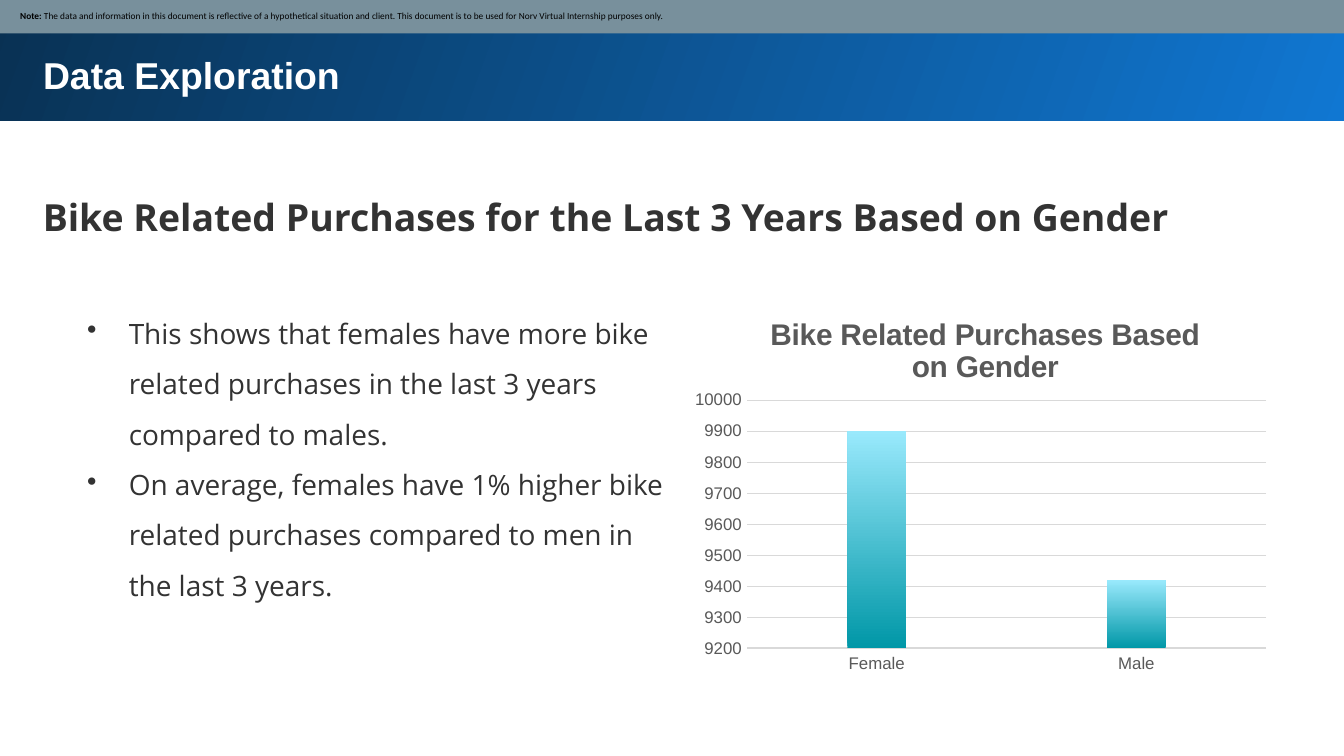
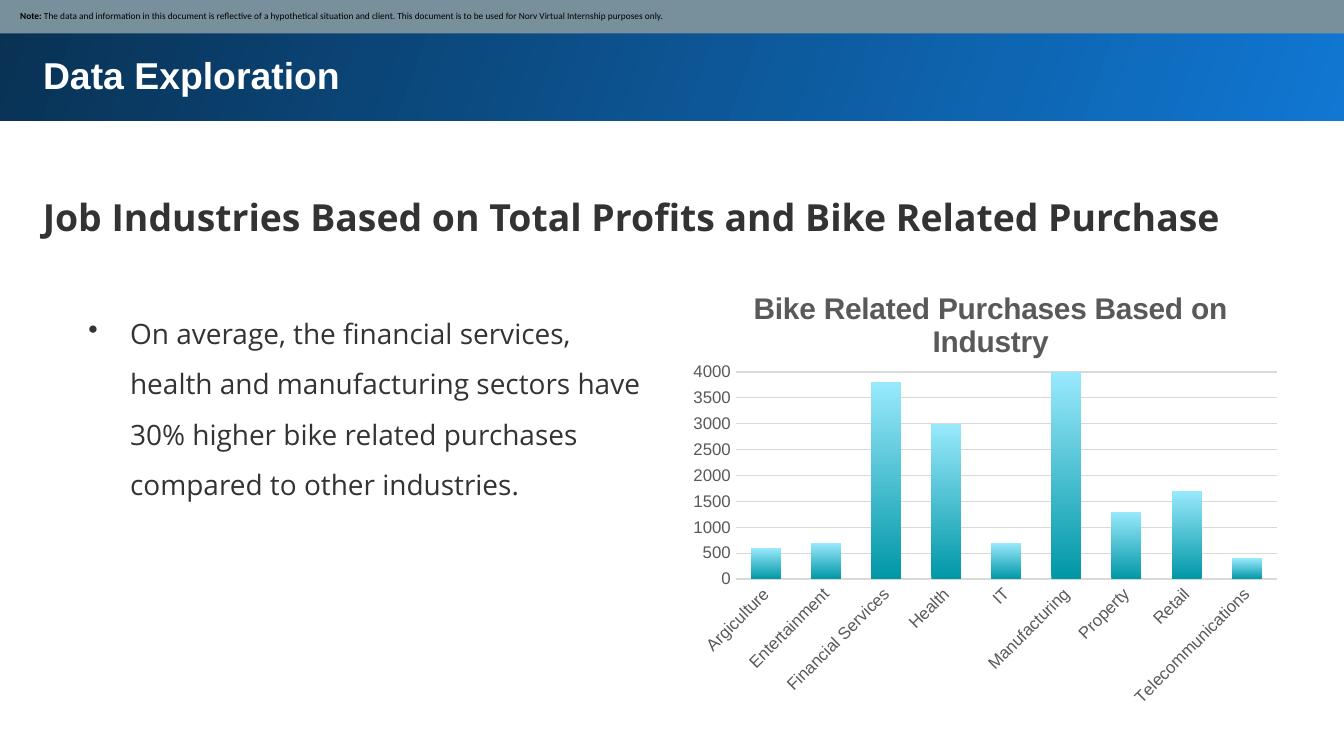
import pptx
import pptx.chart.data
import pptx.dml.color
import pptx.enum.chart
import pptx.enum.shapes
import pptx.enum.text
import pptx.oxml
import pptx.oxml.ns
import pptx.util

COLORS = {
    "sky": "1077D2",
    "navy": "093153",
    "slate": "78909C",
    "white": "FFFFFF",
    "black": "000000",
    "ink": "333333",
    "label": "595959",
    "grid": "D9D9D9",
    "teal": "0097A7",
    "aqua": "99E9FC",
}
HEADING_FONT, BODY_FONT, NOTE_FONT = "Arial", "Open Sans", "Calibri"
COLUMNS = 100  # square grid cells across the slide
TITLE_ONLY = 5
SECTION = "Data Exploration"
NOTE = (
    "The data and information in this document is reflective of a hypothetical "
    "situation and client. This document is to be used for Norv Virtual "
    "Internship purposes only."
)


def rgb(name):
    return pptx.dml.color.RGBColor.from_string(COLORS[name])


def set_font(font, name, size, color, bold=False):
    font.name = name
    font.size = pptx.util.Pt(size)
    font.color.rgb = rgb(color)
    font.bold = bold


def set_gradient(fill, start, end, angle):
    """Fill from start to end; angle is counter-clockwise in degrees."""
    fill.gradient()
    fill.gradient_angle = angle
    for stop, color in zip(fill.gradient_stops, (start, end)):
        stop.color.rgb = rgb(color)


def set_layout(element, index, inner=False, **shares):
    """Place a chart part manually, with x, y, w, h as shares of the chart."""
    for automatic in element.xpath("c:layout"):
        element.remove(automatic)
    target = '<c:layoutTarget val="inner"/>' if inner else ""
    modes = "".join(f'<c:{key}Mode val="edge"/>' for key in shares if key in "xy")
    values = "".join(f'<c:{key} val="{share}"/>' for key, share in shares.items())
    element.insert(index, pptx.oxml.parse_xml(
        f'<c:layout {pptx.oxml.ns.nsdecls("c")}><c:manualLayout>'
        f"{target}{modes}{values}</c:manualLayout></c:layout>"
    ))


class Deck:
    def __init__(self):
        self.presentation = pptx.Presentation()
        self.presentation.slide_width = pptx.util.Inches(10)
        self.presentation.slide_height = self.presentation.slide_width * 9 // 16
        self.cell = self.presentation.slide_width / COLUMNS
        self.slide = None

    def box(self, *cells):
        return [round(count * self.cell) for count in cells]

    def add_slide(self, heading):
        layout = self.presentation.slide_layouts[TITLE_ONLY]
        self.slide = self.presentation.slides.add_slide(layout)
        self.slide.background.fill.solid()
        self.slide.background.fill.fore_color.rgb = rgb("white")
        band = self.rectangle(-0.2, -0.2, 100.5, 9.2)
        set_gradient(band.fill, "sky", "navy", 160)
        self.title(SECTION)
        self.slide.shapes.title.element.addprevious(band.element)
        self.heading(heading)
        self.note()

    def rectangle(self, *cells):
        shape = self.slide.shapes.add_shape(
            pptx.enum.shapes.MSO_SHAPE.RECTANGLE, *self.box(*cells)
        )
        shape.shadow.inherit = False
        shape.line.fill.background()
        return shape

    def frame(self, shape, inset=1):
        """Set the shared wrapping, insets and anchor of a text frame."""
        frame = shape.text_frame
        frame.word_wrap = True
        frame.vertical_anchor = pptx.enum.text.MSO_ANCHOR.TOP
        frame.margin_left = frame.margin_right = round(inset * self.cell)
        frame.margin_top = frame.margin_bottom = round(inset * self.cell)
        return frame

    def text_box(self, *cells):
        frame = self.frame(self.slide.shapes.add_textbox(*self.box(*cells)))
        frame.auto_size = pptx.enum.text.MSO_AUTO_SIZE.SHAPE_TO_FIT_TEXT
        return frame

    def title(self, text):
        title = self.slide.shapes.title
        title.left, title.top, title.width, title.height = self.box(2.2, 2.9, 93.7, 5.4)
        frame = self.frame(title)
        frame.auto_size = pptx.enum.text.MSO_AUTO_SIZE.SHAPE_TO_FIT_TEXT
        frame.text = text
        paragraph = frame.paragraphs[0]
        paragraph.alignment = pptx.enum.text.PP_ALIGN.LEFT
        set_font(paragraph.font, HEADING_FONT, 20, "white", bold=True)

    def heading(self, text):
        paragraph = self.text_box(2.2, 11.8, 93.7, 6.5).paragraphs[0]
        paragraph.text = text
        paragraph.line_spacing = 1.5
        set_font(paragraph.font, BODY_FONT, 20, "ink", bold=True)

    def note(self):
        strip = self.rectangle(-0.1, -0.1, 100.3, 2.6)
        strip.fill.solid()
        strip.fill.fore_color.rgb = rgb("slate")
        frame = self.frame(strip, inset=0.5)
        frame.margin_left = round(1.6 * self.cell)
        frame.vertical_anchor = pptx.enum.text.MSO_ANCHOR.MIDDLE
        paragraph = frame.paragraphs[0]
        paragraph.alignment = pptx.enum.text.PP_ALIGN.LEFT
        set_font(paragraph.font, NOTE_FONT, 5, "black")
        label = paragraph.add_run()
        label.text = "Note: "
        label.font.bold = True
        paragraph.add_run().text = NOTE

    def bullets(self, cells, texts):
        frame = self.text_box(*cells)
        indent = round(3.1 * self.cell)
        for number, text in enumerate(texts):
            paragraph = frame.add_paragraph() if number else frame.paragraphs[0]
            paragraph.text = text
            properties = paragraph._p.get_or_add_pPr()
            properties.set("marL", str(indent))
            properties.set("indent", str(-indent))
            properties.append(pptx.oxml.parse_xml(
                f'<a:buChar {pptx.oxml.ns.nsdecls("a")} char="•"/>'
            ))
            paragraph.line_spacing = 1.5
            set_font(paragraph.font, BODY_FONT, 15, "ink")

    def column_chart(self, cells, title, values, scale, gap, overlap,
                     title_at, plot_at, slanted=False):
        """Add columns; scale is minimum, maximum and step of the value axis."""
        data = pptx.chart.data.CategoryChartData()
        data.categories = list(values)
        data.add_series("Series 1", list(values.values()))
        chart = self.slide.shapes.add_chart(
            pptx.enum.chart.XL_CHART_TYPE.COLUMN_CLUSTERED, *self.box(*cells), data
        ).chart
        set_font(chart.font, HEADING_FONT, 10, "black")
        chart.has_legend = False

        chart.has_title = True
        paragraph = chart.chart_title.text_frame.paragraphs[0]
        paragraph.text = title
        set_font(paragraph.font, HEADING_FONT, 16, "label", bold=True)

        for axis in (chart.category_axis, chart.value_axis):
            axis.major_tick_mark = pptx.enum.chart.XL_TICK_MARK.NONE
            axis.minor_tick_mark = pptx.enum.chart.XL_TICK_MARK.NONE
            set_font(axis.tick_labels.font, HEADING_FONT, 9, "label")
        chart.category_axis.format.line.color.rgb = rgb("grid")
        chart.category_axis.format.line.width = pptx.util.Pt(1)
        axis = chart.value_axis
        axis.minimum_scale, axis.maximum_scale, axis.major_unit = scale
        axis.format.line.fill.background()
        axis.major_gridlines.format.line.color.rgb = rgb("grid")
        axis.major_gridlines.format.line.width = pptx.util.Pt(0.75)

        plot = chart.plots[0]
        plot.vary_by_categories = False
        plot.gap_width, plot.overlap = gap, overlap
        series = plot.series[0]
        series.invert_if_negative = False
        set_gradient(series.format.fill, "teal", "aqua", 90)

        root = chart._chartSpace
        set_layout(root.xpath("c:chart/c:title")[0], 1, **title_at)
        set_layout(root.xpath("c:chart/c:plotArea")[0], 0, inner=True, **plot_at)
        if slanted:
            body = root.xpath(".//c:catAx/c:txPr/a:bodyPr")[0]
            body.set("rot", str(-45 * 60000))
            body.set("vert", "horz")


def main():
    deck = Deck()

    deck.add_slide("Bike Related Purchases for the Last 3 Years Based on Gender")
    deck.bullets((5.5, 21.3, 45.2, 27.5), [
        "This shows that females have more bike related purchases in the last "
        "3 years compared to males.",
        "On average, females have 1% higher bike related purchases compared to "
        "men in the last 3 years.",
    ])
    deck.column_chart(
        (50.7, 21.3, 44.4, 29.3), "Bike Related Purchases Based on Gender",
        {"Female": 9900, "Male": 9420},
        scale=(9200, 10000, 100), gap=342, overlap=-100,
        title_at={"x": 0.14, "y": 0.06},
        plot_at={"x": 0.11, "y": 0.29, "w": 0.87, "h": 0.63},
    )

    deck.add_slide("Job Industries Based on Total Profits and Bike Related Purchase")
    deck.bullets((5.6, 21.3, 44.5, 19.9), [
        "On average, the financial services, health and manufacturing sectors "
        "have 30% higher bike related purchases compared to other industries.",
    ])
    deck.column_chart(
        (50.7, 19.1, 45.2, 34.3), "Bike Related Purchases Based on Industry",
        {
            "Argiculture": 600, "Entertainment": 700, "Financial Services": 3800,
            "Health": 3000, "IT": 700, "Manufacturing": 4000, "Property": 1300,
            "Retail": 1700, "Telecommunications": 400,
        },
        scale=(0, 4000, 500), gap=100, overlap=-24,
        title_at={"x": 0.11, "y": 0.06},
        plot_at={"x": 0.09, "y": 0.25, "w": 0.89, "h": 0.45},
        slanted=True,
    )

    deck.presentation.save("out.pptx")


if __name__ == "__main__":
    main()
